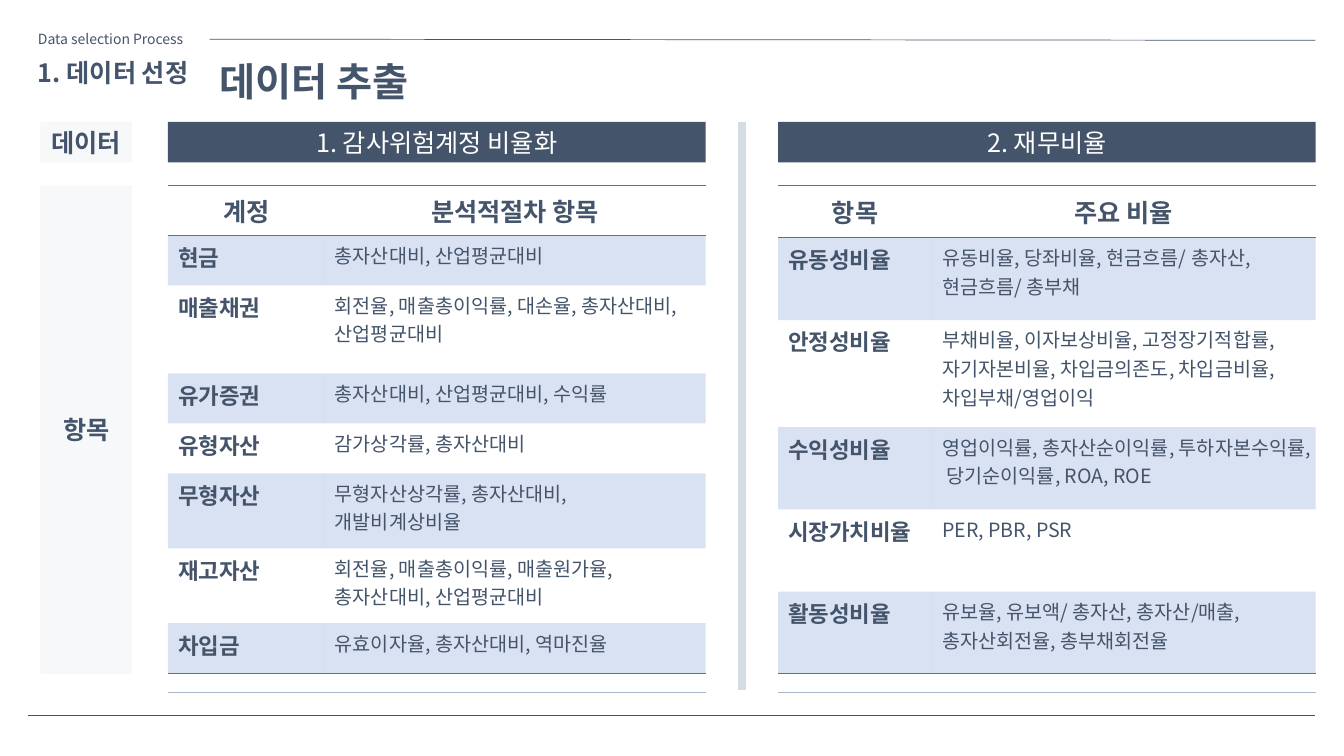
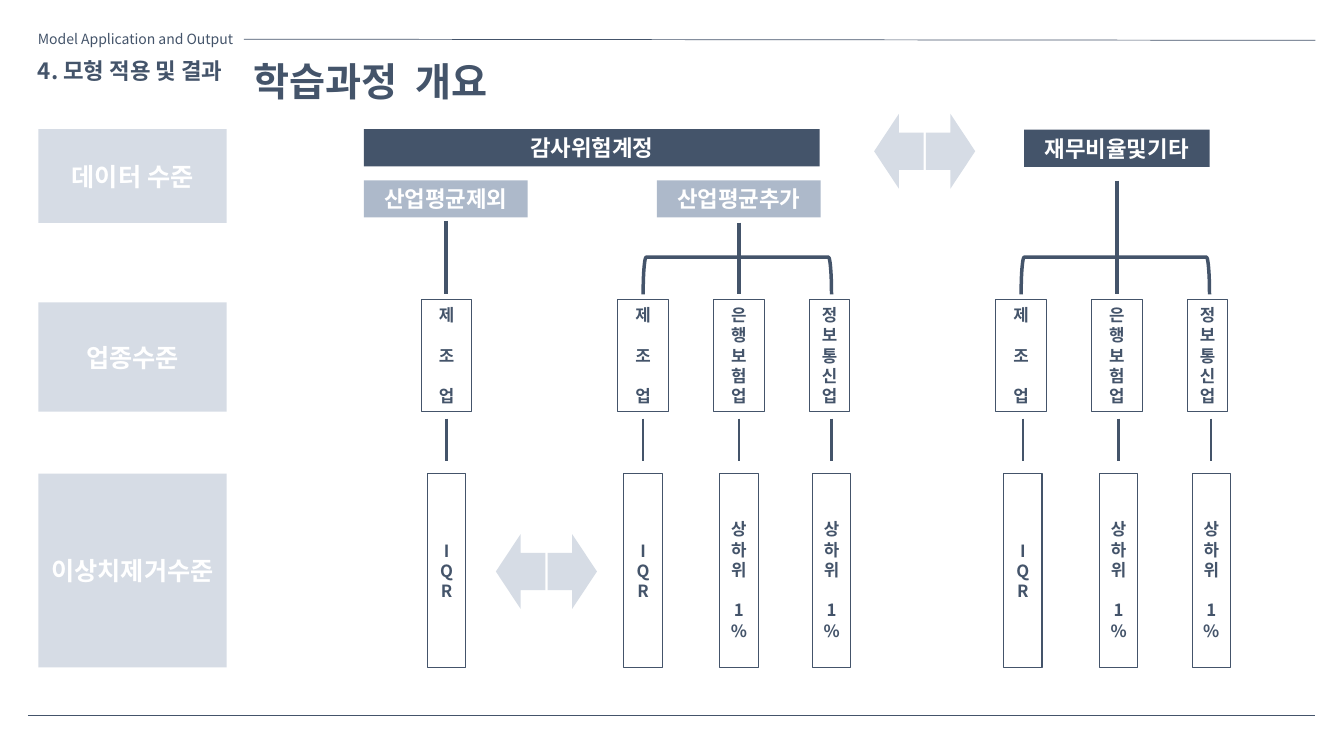
"""Builds two slides on data extraction and the learning process."""
from dataclasses import dataclass

from lxml import etree
from pptx import Presentation
from pptx.dml.color import RGBColor
from pptx.enum.shapes import MSO_CONNECTOR, MSO_SHAPE
from pptx.enum.text import MSO_ANCHOR, PP_ALIGN
from pptx.oxml.ns import qn
from pptx.util import Pt

STRAIGHT = MSO_CONNECTOR.STRAIGHT
RECT, BRACKET = MSO_SHAPE.RECTANGLE, MSO_SHAPE.RIGHT_BRACKET
LEFT_ARROW, RIGHT_ARROW = MSO_SHAPE.LEFT_ARROW, MSO_SHAPE.RIGHT_ARROW
LEFT, CENTER = PP_ALIGN.LEFT, PP_ALIGN.CENTER
TOP, MIDDLE = MSO_ANCHOR.TOP, MSO_ANCHOR.MIDDLE
NO_STYLE = "{2D5ABB26-0587-4C30-8999-92F81FD0307C}"


@dataclass(frozen=True)
class Theme:
    font: str = "Noto Sans CJK KR"
    navy: str = "44546A"
    steel: str = "ADB9CA"
    mist: str = "D6DCE5"
    blue: str = "4472C4"
    white: str = "FFFFFF"
    tint: int = 20
    title: int = 28
    head: int = 18
    label: int = 16
    body: int = 14
    stack: int = 12
    stack_line: float = 14.5
    kicker: int = 10


T = Theme()
EDGE_L, EDGE_R = 20, 939.6

TABLES = [
    {
        "x": 120, "title": "1. 감사위험계정 비율화", "cols": (112, 272),
        "heights": (35.75, 35.75, 62.8, 35.75, 35.75, 53.5, 53.5, 35.75),
        "rows": [
            ("계정", "분석적절차 항목"),
            ("현금", "총자산대비, 산업평균대비"),
            ("매출채권", "회전율, 매출총이익률, 대손율, 총자산대비, 산업평균대비"),
            ("유가증권", "총자산대비, 산업평균대비, 수익률"),
            ("유형자산", "감가상각률, 총자산대비"),
            ("무형자산", "무형자산상각률, 총자산대비, 개발비계상비율"),
            ("재고자산", "회전율, 매출총이익률, 매출원가율, 총자산대비, 산업평균대비"),
            ("차입금", "유효이자율, 총자산대비, 역마진율"),
        ],
    },
    {
        "x": 555.8, "title": "2. 재무비율", "cols": (110, 274),
        "heights": (37.5, 58.75, 76.5, 58.75, 58.75, 58.75),
        "rows": [
            ("항목", "주요 비율"),
            ("유동성비율", "유동비율, 당좌비율, 현금흐름/ 총자산, 현금흐름/ 총부채"),
            ("안정성비율", "부채비율, 이자보상비율, 고정장기적합률, 자기자본비율, "
                      "차입금의존도, 차입금비율, 차입부채/영업이익"),
            ("수익성비율", "영업이익률, 총자산순이익률, 투하자본수익률, 당기순이익률, ROA, ROE"),
            ("시장가치비율", "PER, PBR, PSR"),
            ("활동성비율", "유보율, 유보액/ 총자산, 총자산/매출, 총자산회전율, 총부채회전율"),
        ],
    },
]
SIDE_LABELS = [("데이터", 87, 29), ("항목", 132.4, 349)]

STAGES = [("데이터 수준", 92.2, 67), ("업종수준", 216, 78), ("이상치제거수준", 338.4, 138.4)]
BARS = [
    ("감사위험계정", 260, 92.3, 325.6, T.navy),
    ("산업평균제외", 260, 128.8, 117, T.steel),
    ("산업평균추가", 469.2, 128.8, 117, T.steel),
    ("재무비율및기타", 731.5, 92.7, 132.5, T.navy),
]
MAKING = ("제조업", 36, (1, 2))
BANKING = ("은행보험업", 36, ())
TELECOM = ("정보통신업", 29, ())
IQR = ("IQR", 0, ())
TRIM = ("상하위1%", 13, (3,))
THREE_LANES = [
    (459.4, 459.4, MAKING, IQR),
    (527.8, 527.8, BANKING, TRIM),
    (592.6, 594, TELECOM, TRIM),
]
BRANCHES = [
    {"shift": 0, "low_shift": 0, "stem": (318.5, 157.7), "lanes": [(319, 319, MAKING, IQR)]},
    {"shift": 0, "low_shift": 0, "stem": (527.8, 159.1), "lanes": THREE_LANES},
    {"shift": 270, "low_shift": 271.2, "stem": (527.8, 129), "lanes": THREE_LANES},
]
ARROW_PAIRS = [(354.2, 381.6), (624.4, 81.4)]


def rgb(color):
    return RGBColor.from_string(color)


def paint(fill, parent, color, alpha=None):
    if color is None:
        fill.background()
        return
    fill.solid()
    fill.fore_color.rgb = rgb(color)
    if alpha:
        clr = parent.find(qn("a:solidFill"))[0]
        etree.SubElement(clr, qn("a:alpha")).set("val", str(alpha * 1000))


def write(tf, text, size=T.head, color=T.navy, bold=True, align=CENTER,
          anchor=MIDDLE, line=None, gaps=()):
    tf.word_wrap = True
    tf.vertical_anchor = anchor
    for i, part in enumerate(text if line else [text]):
        p = tf.paragraphs[0] if i == 0 else tf.add_paragraph()
        p.alignment = align
        if line:
            p.line_spacing = Pt(line)
        if i in gaps:
            p.space_before = Pt(line)
        r = p.add_run()
        r.text = part
        r.font.size, r.font.bold, r.font.name = Pt(size), bold, T.font
        r.font.color.rgb = rgb(color)
        etree.SubElement(r.font._element, qn("a:ea")).set("typeface", T.font)


def insets(tf, left, top, right, bottom):
    tf.margin_left, tf.margin_top = Pt(left), Pt(top)
    tf.margin_right, tf.margin_bottom = Pt(right), Pt(bottom)


def add_box(s, x, y, w, h, fill=None, alpha=None, line=None, width=0.75, kind=RECT):
    sp = s.shapes.add_shape(kind, Pt(x), Pt(y), Pt(w), Pt(h))
    sp.shadow.inherit = False
    paint(sp.fill, sp._element.spPr, fill, alpha)
    paint(sp.line.fill, None, line)
    if line:
        sp.line.width = Pt(width)
    insets(sp.text_frame, 3.6, 0, 3.6, 0)
    return sp


def add_line(s, x1, y1, x2, y2, color=T.navy, width=0.5):
    c = s.shapes.add_connector(STRAIGHT, Pt(x1), Pt(y1), Pt(x2), Pt(y2))
    c.line.color.rgb = rgb(color)
    c.line.width = Pt(width)
    etree.SubElement(c._element.spPr, qn("a:effectLst"))


def add_label(s, text, x, y, w, h, **fmt):
    tf = s.shapes.add_textbox(Pt(x), Pt(y), Pt(w), Pt(h)).text_frame
    insets(tf, 7.2, 0, 0, 0)
    write(tf, text, align=LEFT, **fmt)


def add_page(prs, kicker, section, title, split, section_size):
    s = prs.slides.add_slide(prs.slide_layouts[6])
    add_line(s, split, 28, EDGE_R, 28.8)
    add_line(s, EDGE_L, 511.2, EDGE_R, 511.2)
    add_label(s, kicker, EDGE_L, 18, split - EDGE_L, 19.4, size=T.kicker, bold=False)
    add_label(s, title, split, 37.4, 355, 41, size=T.title)
    add_label(s, section, EDGE_L, 37.4, split - EDGE_L, section_size + 10.6, size=section_size)
    return s


def add_border(cell, side):
    ln = etree.SubElement(cell._tc.get_or_add_tcPr(), qn(f"a:ln{side}"), w=str(Pt(1)))
    solid = etree.SubElement(ln, qn("a:solidFill"))
    etree.SubElement(solid, qn("a:srgbClr")).set("val", T.blue)


def add_ratio_table(s, x, title, cols, heights, rows):
    width = sum(cols)
    write(add_box(s, x, 87, width, 29, T.navy).text_frame, title, color=T.white, bold=False)
    add_line(s, x, 494.6, x + width, 494.6, T.steel)
    frame = s.shapes.add_table(len(rows), len(cols), Pt(x), Pt(132.4), Pt(width), Pt(sum(heights)))
    table = frame.table
    table._tbl.tblPr[0].text = NO_STYLE
    table.first_row = table.horz_banding = False
    for column, w in zip(table.columns, cols):
        column.width = Pt(w)
    for i, (height, row) in enumerate(zip(heights, rows)):
        table.rows[i].height = Pt(height)
        sides = "TB" if i == 0 else "B" if i == len(rows) - 1 else ""
        for j, text in enumerate(row):
            cell = table.cell(i, j)
            for side in sides:
                add_border(cell, side)
            paint(cell.fill, cell._tc.tcPr if sides else cell._tc.get_or_add_tcPr(),
                  T.blue if i % 2 else None, T.tint)
            if i == 0:
                write(cell.text_frame, text)
                cell.vertical_anchor = MIDDLE
            else:
                write(cell.text_frame, text, size=T.body if j else T.label, bold=j == 0,
                      align=LEFT, anchor=TOP)
                cell.vertical_anchor = TOP


def add_stack(s, text, center, y, w, h, top=0, gaps=()):
    tf = add_box(s, center - w / 2, y, w, h, line=T.navy).text_frame
    insets(tf, 0, top, 0, 0)
    write(tf, text, size=T.stack, line=T.stack_line, gaps=gaps)


def add_branch(s, shift, low_shift, stem, lanes):
    x, y = stem
    add_line(s, x + shift, y, x + shift, 210, width=2.5)
    if len(lanes) > 1:
        span, rise = 134.6, 26.6
        bracket = add_box(s, 526.7 + shift - rise / 2, 196.9 - span / 2, rise, span,
                          line=T.navy, width=2.5, kind=BRACKET)
        bracket.rotation = 270
    for center, low, (name, width, name_gaps), (rule, top, rule_gaps) in lanes:
        low += low_shift
        add_stack(s, name, center + shift, 213.8, width, 80, gaps=name_gaps)
        add_line(s, low, 299, low, 329, width=1.75)
        add_stack(s, rule, low, 338.4, 27.4, 138.4, top, rule_gaps)


def build_extraction(prs):
    s = add_page(prs, "Data selection Process", "1. 데이터 선정", "데이터 추출", 149.8, T.head)
    for table in TABLES:
        add_ratio_table(s, **table)
    add_line(s, 530, 87, 530, 493, T.mist, 6)
    for text, y, h in SIDE_LABELS:
        write(add_box(s, 28.8, y, 65.6, h, T.mist, T.tint).text_frame, text)


def build_learning(prs):
    s = add_page(prs, "Model Application and Output", "4. 모형 적용 및 결과", "학습과정  개요",
                 174.2, T.label)
    for text, y, h in STAGES:
        write(add_box(s, 27.4, y, 134.6, h, T.mist).text_frame, text, color=T.white)
    for text, x, y, w, color in BARS:
        write(add_box(s, x, y, w, 26.6, color).text_frame, text, size=T.label, color=T.white)
    for branch in BRANCHES:
        add_branch(s, **branch)
    for x, y in ARROW_PAIRS:
        for i, kind in enumerate((LEFT_ARROW, RIGHT_ARROW)):
            add_box(s, x + i * 36.9, y, 35.3, 53.3, T.mist, kind=kind)


def main():
    prs = Presentation()
    prs.slide_width, prs.slide_height = Pt(960), Pt(540)
    build_extraction(prs)
    build_learning(prs)
    prs.save("out.pptx")


if __name__ == "__main__":
    main()
